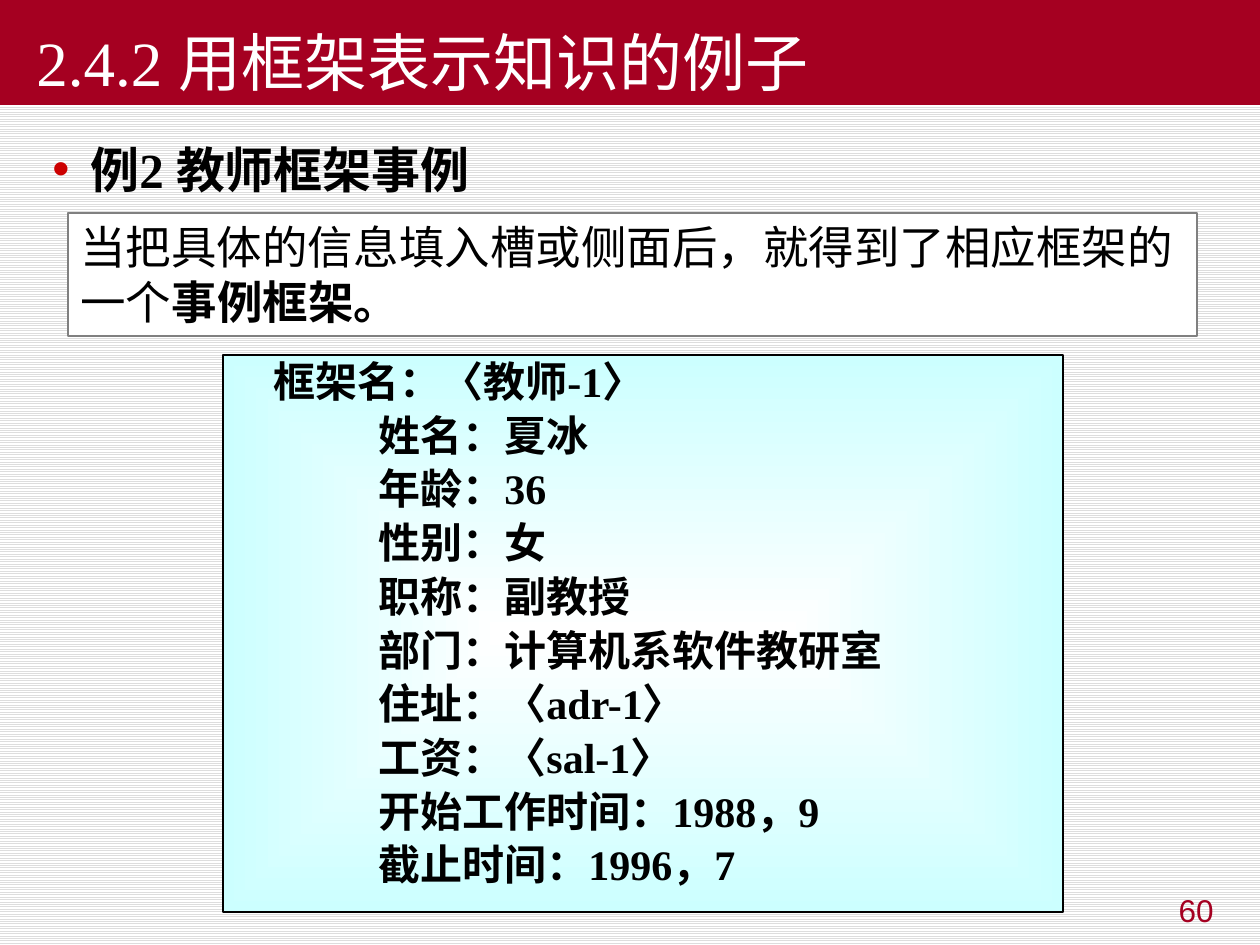
from pptx import Presentation
from pptx.dml.color import RGBColor
from pptx.enum.dml import MSO_PATTERN
from pptx.enum.shapes import MSO_SHAPE
from pptx.enum.text import MSO_ANCHOR, PP_ALIGN
from pptx.oxml import parse_xml
from pptx.oxml.ns import nsdecls
from pptx.util import Pt

PX = 914400 // 126
SERIF, SANS = "Times New Roman", "Arial"
COLORS = {
    "crimson": "A50021", "bullet": "CC0000", "white": "FFFFFF", "black": "000000",
    "gray": "808080", "stripe": "DDDDDD", "cyan": "CCFFFF",
}

TITLE = "2.4.2 用框架表示知识的例子"
HEADING = [("例2 ", SERIF, True), ("教师框架事例", SANS, True)]
SUMMARY = [
    ("当把具体的信息填入槽或侧面后，就得到了相应框架的一个", SANS, False),
    ("事例框架。", SANS, True),
]
FRAME_NAME = "框架名：〈教师-1〉"
SLOTS = [
    ("姓名", "夏冰"),
    ("年龄", "36"),
    ("性别", "女"),
    ("职称", "副教授"),
    ("部门", "计算机系软件教研室"),
    ("住址", "〈adr-1〉"),
    ("工资", "〈sal-1〉"),
    ("开始工作时间", "1988，9"),
    ("截止时间", "1996，7"),
]
PAGE_NUMBER = "60"


def rgb(name):
    return RGBColor.from_string(COLORS[name])


def place(*bounds):
    return [value * PX for value in bounds]


def add_panel(page, bounds, fill=None, line=None):
    panel = page.shapes.add_shape(MSO_SHAPE.RECTANGLE, *place(*bounds))
    panel.shadow.inherit = False
    if fill:
        panel.fill.solid()
        panel.fill.fore_color.rgb = rgb(fill)
    if line:
        panel.line.color.rgb = rgb(line)
        panel.line.width = Pt(0.75)
    else:
        panel.line.fill.background()
    panel.text_frame.word_wrap = True
    panel.text_frame.vertical_anchor = MSO_ANCHOR.TOP
    return panel


def add_text_box(page, bounds):
    box = page.shapes.add_textbox(*place(*bounds))
    box.text_frame.word_wrap = True
    return box


def write(para, spans, size, color="black", align=PP_ALIGN.LEFT):
    para.alignment = align
    for text, font, bold in spans:
        span = para.add_run()
        span.text = text
        span.font.name = font
        span.font.size = Pt(size)
        span.font.bold = bold
        span.font.color.rgb = rgb(color)


def indent(para, left, first=0):
    properties = para._p.get_or_add_pPr()
    properties.set("marL", str(left * PX))
    properties.set("indent", str(first * PX))
    return properties


def add_bullet(para, left):
    properties = indent(para, left, -left)
    for xml in (
        f'<a:buClr {nsdecls("a")}><a:srgbClr val="{COLORS["bullet"]}"/></a:buClr>',
        f'<a:buFont {nsdecls("a")} typeface="{SANS}"/>',
        f'<a:buChar {nsdecls("a")} char="•"/>',
    ):
        properties.append(parse_xml(xml))


def glow_from_center(panel):
    panel.fill.gradient()
    for stop, name in zip(panel.fill.gradient_stops, ("white", "cyan")):
        stop.color.rgb = rgb(name)
    gradient = panel.fill._xPr.gradFill
    linear = gradient.find("{*}lin")
    gradient.replace(linear, parse_xml(
        f'<a:path {nsdecls("a")} path="shape">'
        '<a:fillToRect l="50000" t="50000" r="50000" b="50000"/></a:path>'
    ))


def main():
    deck = Presentation()
    deck.slide_width, deck.slide_height = place(1260, 945)
    page = deck.slides.add_slide(deck.slide_layouts[6])
    backdrop = page.background.fill
    backdrop.patterned()
    backdrop.pattern = MSO_PATTERN.LIGHT_HORIZONTAL
    backdrop.fore_color.rgb = rgb("stripe")
    backdrop.back_color.rgb = rgb("white")

    number = add_text_box(page, (932, 885, 294, 66))
    write(number.text_frame.paragraphs[0], [(PAGE_NUMBER, SANS, False)], 18,
          "crimson", PP_ALIGN.RIGHT)

    title = add_panel(page, (0, 0, 1260, 105), "crimson")
    title.text_frame.vertical_anchor = MSO_ANCHOR.BOTTOM
    indent(title.text_frame.paragraphs[0], 0, 24)
    write(title.text_frame.paragraphs[0], [(TITLE, SERIF, False)], 36, "white")

    frame = add_panel(page, (223, 355, 840, 557), line="black")
    glow_from_center(frame)
    lines = [(FRAME_NAME, 38)] + [(f"{slot}：{value}", 143) for slot, value in SLOTS]
    for row, (text, left) in enumerate(lines):
        body = frame.text_frame
        para = body.add_paragraph() if row else body.paragraphs[0]
        indent(para, left)
        para.line_spacing = 0.9
        para.space_before = Pt(4.8 if row else 0)
        write(para, [(text, SERIF, True)], 24)

    heading = add_text_box(page, (40, 127, 537, 73)).text_frame.paragraphs[0]
    heading.line_spacing = 1.1
    add_bullet(heading, 38)
    write(heading, HEADING, 28)

    summary = add_panel(page, (68, 213, 1129, 123), "white", "gray")
    write(summary.text_frame.paragraphs[0], SUMMARY, 26)

    deck.save("out.pptx")


if __name__ == "__main__":
    main()
